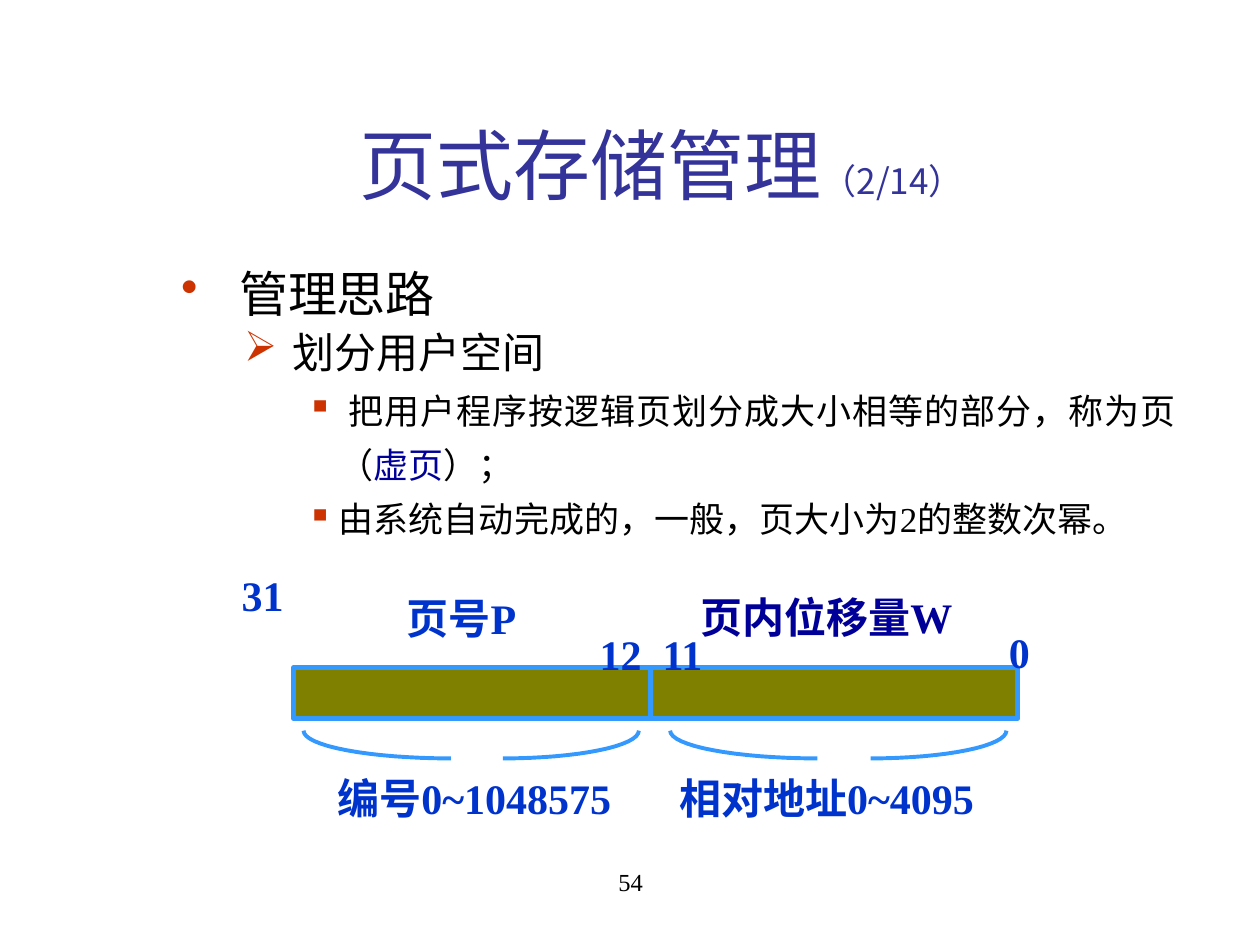
from math import cos, pi, sin

from lxml.etree import SubElement
from pptx import Presentation
from pptx.dml.color import RGBColor
from pptx.enum.shapes import MSO_CONNECTOR, MSO_SHAPE
from pptx.enum.text import MSO_ANCHOR, MSO_AUTO_SIZE, PP_ALIGN
from pptx.oxml.ns import qn
from pptx.util import Cm, Pt

SANS, SERIF = "Noto Sans CJK SC", "Times New Roman"
BLACK = RGBColor(0x00, 0x00, 0x00)
INDIGO = RGBColor(0x33, 0x33, 0x99)
NAVY = RGBColor(0x00, 0x00, 0x99)
BLUE = RGBColor(0x00, 0x33, 0xCC)
SKY = RGBColor(0x33, 0x99, 0xFF)
OLIVE = RGBColor(0x80, 0x80, 0x00)
BULLET_RED = "CC3300"

# Content: runs are (text, size, font, colour)
TITLE = [("页式存储管理", 44, SANS, INDIGO), ("（2/14）", 20, SANS, INDIGO)]
OUTLINE = [  # level, runs
    (0, [(" 管理思路", 28, SANS, BLACK)]),
    (1, [(" 划分用户空间", 24, SANS, BLACK)]),
    (2, [(" 把用户程序按逻辑页划分成大小相等的部分，称为页（", 20, SERIF, BLACK),
         ("虚页", 20, SERIF, NAVY), ("）；", 20, SERIF, BLACK)]),
    (2, [("由系统自动完成的，一般，页大小为2的整数次幂。", 20, SERIF, BLACK)]),
]
LEVELS = [  # bullet, left margin, hanging indent, line spacing, alignment
    ("•", 0.95, 0.95, 1.5, PP_ALIGN.LEFT),
    ("➢", 2.06, 0.79, Pt(31), PP_ALIGN.LEFT),
    ("▪", 3.18, 0.64, Pt(31), PP_ALIGN.JUSTIFY),
]
PAGE_NUMBER = "54"
LABELS = [  # text, left, top, width, colour
    ("31", 4.62, 11.35, 1.35, BLUE),
    ("0", 20.09, 12.5, 0.91, BLUE),
    ("11", 13.11, 12.55, 1.35, BLUE),
    ("12", 11.84, 12.55, 1.35, BLUE),
    ("页号P", 7.95, 11.81, 2.92, BLUE),
    ("页内位移量W", 13.87, 11.79, 5.79, NAVY),
    ("编号0~1048575", 6.55, 15.44, 6.22, BLUE),
    ("相对地址0~4095", 13.44, 15.44, 6.65, BLUE),
]
LABEL_HEIGHT = 1.27
ADDRESS = (5.92, 13.46, 14.6, 1.02)  # left, top, width, height
FIELD_SPLIT = 13.11
BRACES = [(6.12, 12.88), (13.51, 20.29)]  # outer ends
BRACE_TOP, BRACE_HEIGHT = 14.73, 0.56
LEFT_ARM, RIGHT_ARM = 2.97, 2.74
ARC_STEPS = 16


def add_runs(paragraph, runs, bold=False):
    for text, size, face, colour in runs:
        run = paragraph.add_run()
        run.text = text
        font = run.font
        font.size, font.name, font.bold = Pt(size), face, bold
        font.color.rgb = colour
        SubElement(font._element, qn("a:ea")).set("typeface", SANS)


def add_text(shapes, left, top, width, height, wrap=True):
    frame = shapes.add_textbox(Cm(left), Cm(top), Cm(width), Cm(height)).text_frame
    frame.word_wrap = wrap
    return frame


def set_bullet(paragraph, char, margin, hanging):
    properties = paragraph._p.get_or_add_pPr()
    properties.set("marL", str(Cm(margin)))
    properties.set("indent", str(-Cm(hanging)))
    colour = SubElement(properties, qn("a:buClr"))
    SubElement(colour, qn("a:srgbClr")).set("val", BULLET_RED)
    SubElement(properties, qn("a:buChar")).set("char", char)


def add_arm(shapes, outer, inner):
    """Quarter ellipse from the outer end down to the inner end."""
    angles = [step * pi / 2 / ARC_STEPS for step in range(ARC_STEPS + 1)]
    points = [(Cm(inner + (outer - inner) * cos(a)),
               Cm(BRACE_TOP + BRACE_HEIGHT * sin(a))) for a in angles]
    builder = shapes.build_freeform(*points[0])
    builder.add_line_segments(points[1:], close=False)
    arm = builder.convert_to_shape()
    arm.shadow.inherit = False
    arm.fill.background()
    arm.line.color.rgb, arm.line.width = SKY, Pt(2.25)


prs = Presentation()
prs.slide_width, prs.slide_height = Cm(25.4), Cm(19.05)
slide = prs.slides.add_slide(prs.slide_layouts[5])

# Title
title = slide.shapes.title
title.left, title.top, title.width, title.height = Cm(2.54), Cm(1.7), Cm(21.59), Cm(3.18)
title.text_frame.vertical_anchor = MSO_ANCHOR.MIDDLE
heading = title.text_frame.paragraphs[0]
heading.alignment = PP_ALIGN.CENTER
add_runs(heading, TITLE)

# Outline
body = add_text(slide.shapes, 3.4, 4.6, 20.55, 11.91)
for index, (level, runs) in enumerate(OUTLINE):
    char, margin, hanging, spacing, alignment = LEVELS[level]
    paragraph = body.add_paragraph() if index else body.paragraphs[0]
    paragraph.level, paragraph.alignment = level, alignment
    paragraph.line_spacing = spacing
    set_bullet(paragraph, char, margin, hanging)
    add_runs(paragraph, runs)

# Page number
footer = add_text(slide.shapes, 8.69, 17.35, 8.05, 1.27).paragraphs[0]
footer.alignment = PP_ALIGN.CENTER
add_runs(footer, [(PAGE_NUMBER, 14, SERIF, BLACK)])

# Address word with its two fields
diagram = slide.shapes.add_group_shape().shapes
left, top, width, height = ADDRESS
word = diagram.add_shape(MSO_SHAPE.RECTANGLE, Cm(left), Cm(top), Cm(width), Cm(height))
word.shadow.inherit = False
word.fill.solid()
word.fill.fore_color.rgb = OLIVE
divider = diagram.add_connector(MSO_CONNECTOR.STRAIGHT, Cm(FIELD_SPLIT), Cm(top),
                                Cm(FIELD_SPLIT), Cm(top + height))
SubElement(divider._element.spPr, qn("a:effectLst"))
for outline in (word.line, divider.line):
    outline.color.rgb, outline.width = SKY, Pt(3)

# Labels
for text, left, top, width, colour in LABELS:
    label = add_text(diagram, left, top, width, LABEL_HEIGHT, wrap=False)
    label.auto_size = MSO_AUTO_SIZE.SHAPE_TO_FIT_TEXT
    add_runs(label.paragraphs[0], [(text, 24, SERIF, colour)], bold=True)

# Braces under the fields
for start, end in BRACES:
    add_arm(diagram, start, start + LEFT_ARM)
    add_arm(diagram, end, end - RIGHT_ARM)

prs.save("out.pptx")
